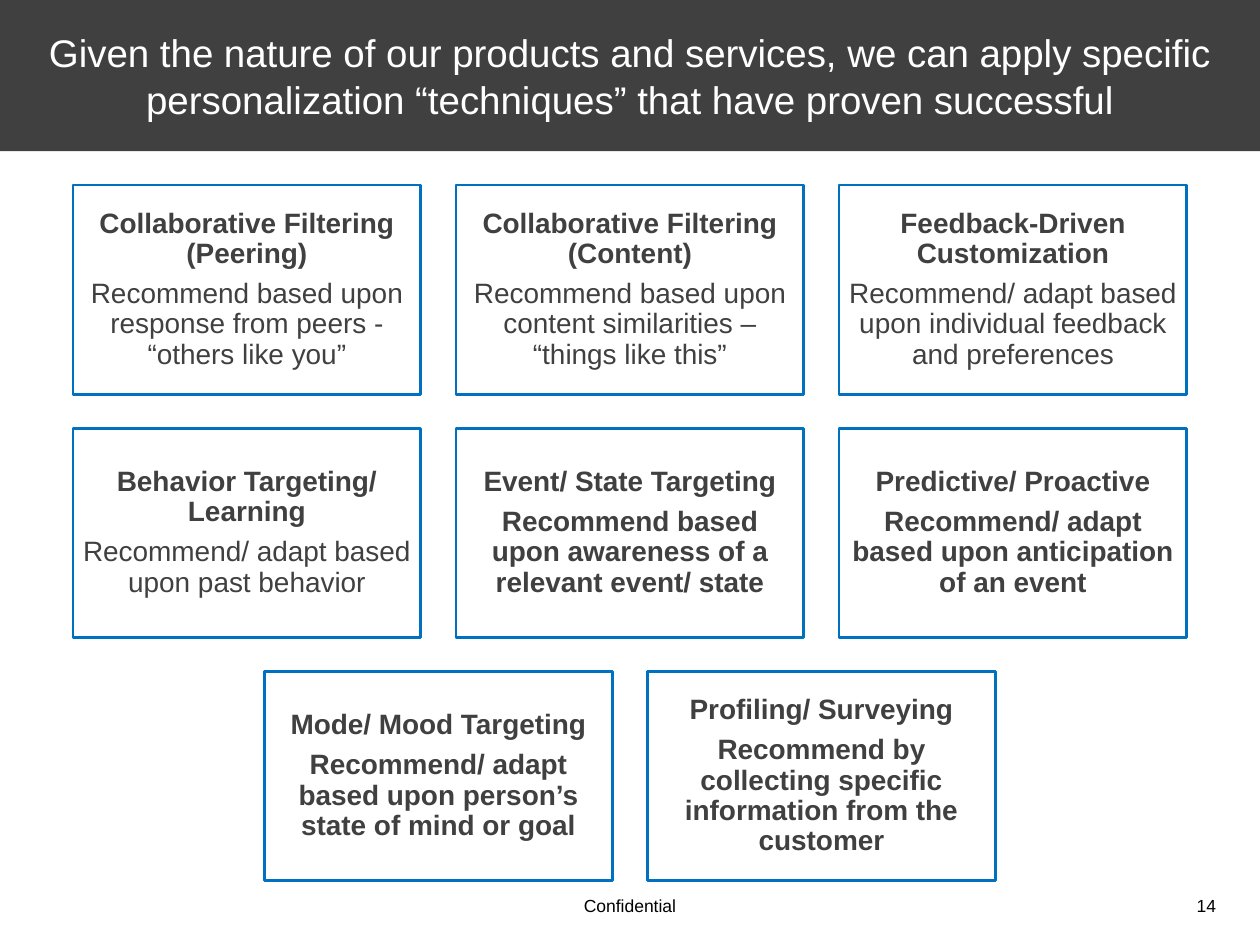
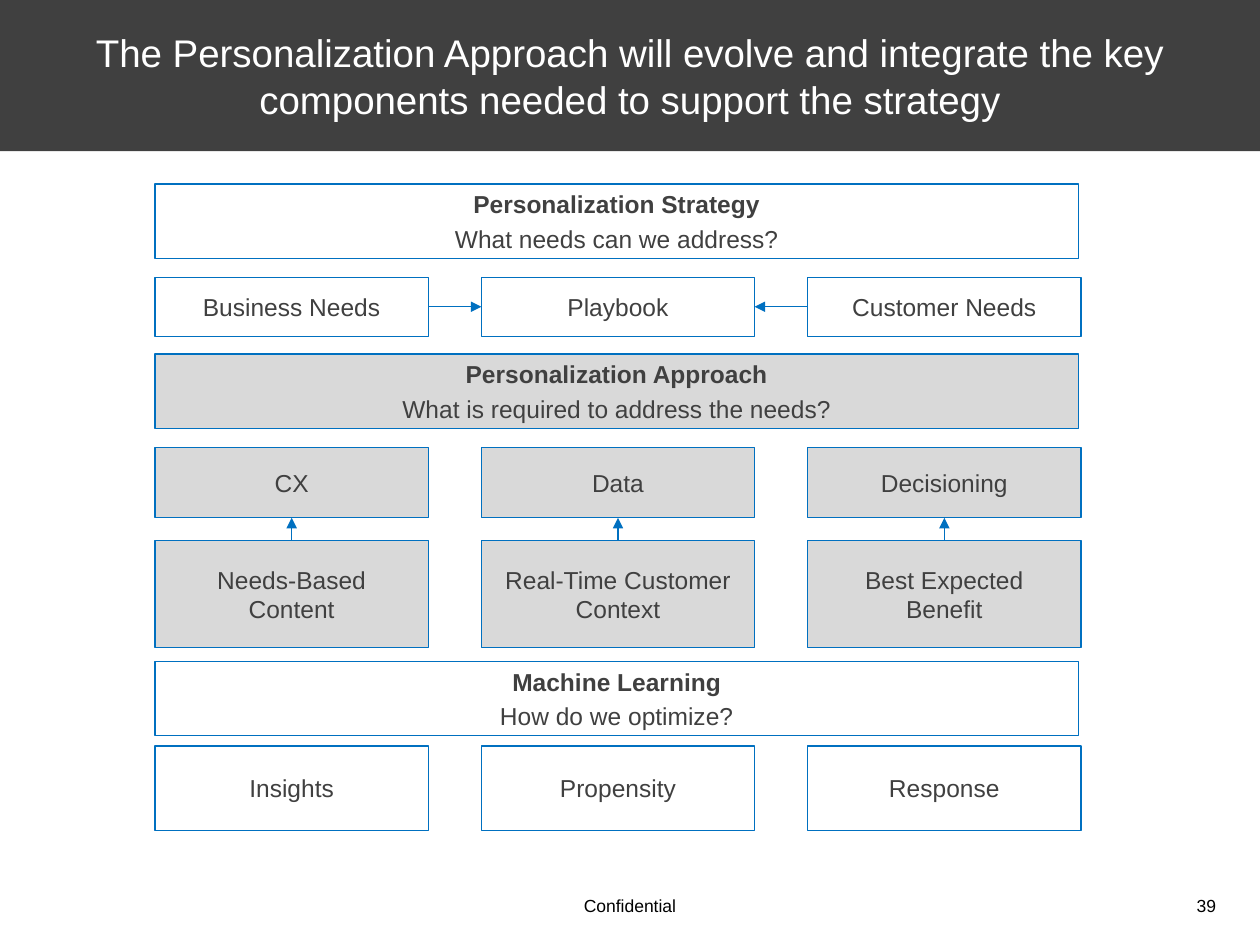
from lxml import etree
from pptx import Presentation
from pptx import util as u
from pptx.dml.color import RGBColor
from pptx.enum import shapes, text
from pptx.oxml import ns

CHARCOAL = RGBColor(0x40, 0x40, 0x40)
BLUE = RGBColor(0x00, 0x70, 0xC0)
GRAY = RGBColor(0xD9, 0xD9, 0xD9)
WHITE = RGBColor(0xFF, 0xFF, 0xFF)
BLACK = RGBColor(0x00, 0x00, 0x00)

CELL = u.Inches(0.1)
PAGE_COLUMNS, PAGE_ROWS = 100, 75
TITLE_ROWS = 12
TITLE_MARGINS = (1.5, 1)
CARD_MARGINS = (0.7, 0.7)
BAND_MARGINS = (1, 0.5)

LEFT, CENTER, RIGHT = text.PP_ALIGN.LEFT, text.PP_ALIGN.CENTER, text.PP_ALIGN.RIGHT
TITLE_FONT = {"size": u.Pt(22), "bold": False}
CARD_FONT = {"size": u.Pt(16), "bold": False}
BAND_FONT = {"size": u.Pt(14), "bold": False}
FOOTER_FONT = {"size": u.Pt(10), "bold": False}
CARD_SPACING = {"line_spacing": 0.9, "space_after": u.Pt(5.6)}
BAND_SPACING = {"space_before": u.Pt(2.8)}

CARD_WIDTH, CARD_HEIGHT = 27.6, 16.6
CARD_LEFT, CARD_TOP = 5.8, 14.7
CARD_STEP, CARD_ROW_STEP = 30.4, 19.3
CARDS = [
    (0, 0, "Collaborative Filtering (Peering)",
     "Recommend based upon response from peers - “others like you”", False),
    (1, 0, "Collaborative Filtering (Content)",
     "Recommend based upon content similarities – “things like this”", False),
    (2, 0, "Feedback-Driven Customization",
     "Recommend/ adapt based upon individual feedback and preferences", False),
    (0, 1, "Behavior Targeting/ Learning",
     "Recommend/ adapt based upon past behavior", False),
    (1, 1, "Event/ State Targeting",
     "Recommend based upon awareness of a relevant event/ state", True),
    (2, 1, "Predictive/ Proactive",
     "Recommend/ adapt based upon anticipation of an event", True),
    (0.5, 2, "Mode/ Mood Targeting",
     "Recommend/ adapt based upon person’s state of mind or goal", True),
    (1.5, 2, "Profiling/ Surveying",
     "Recommend by collecting specific information from the customer", True),
]

BAND_LEFT, BAND_WIDTH, BAND_HEIGHT = 12.3, 73.3, 5.9
BLOCK_WIDTH, BLOCK_STEP = 21.7, 25.9
BANDS = [
    (14.6, WHITE, "Personalization Strategy", "What needs can we address?"),
    (28.1, GRAY, "Personalization Approach", "What is required to address the needs?"),
    (52.5, WHITE, "Machine Learning", "How do we optimize?"),
]
BLOCK_ROWS = {
    "needs": (22, 4.7, WHITE, ["Business Needs", "Playbook", "Customer Needs"]),
    "components": (35.5, 5.6, GRAY, ["CX", "Data", "Decisioning"]),
    "inputs": (42.9, 8.5, GRAY,
               ["Needs-Based\nContent", "Real-Time Customer Context", "Best Expected\nBenefit"]),
    "learning": (59.2, 6.7, WHITE, ["Insights", "Propensity", "Response"]),
}
TOP_SITE, LEFT_SITE, BOTTOM_SITE, RIGHT_SITE = range(4)


def cells(*counts):
    return [round(count * CELL) for count in counts]


def apply(target, values):
    for name, value in values.items():
        setattr(target, name, value)


def write(box, lines, font, color, align=CENTER, spacing=None, margins=BAND_MARGINS):
    frame = box.text_frame
    side, edge = cells(*margins)
    apply(frame, {
        "word_wrap": True, "auto_size": text.MSO_AUTO_SIZE.NONE,
        "vertical_anchor": text.MSO_ANCHOR.MIDDLE,
        "margin_left": side, "margin_right": side,
        "margin_top": edge, "margin_bottom": edge,
    })
    for index, (words, bold) in enumerate(lines):
        para = frame.add_paragraph() if index else frame.paragraphs[0]
        para.text = words
        apply(para, {"alignment": align, **(spacing or {})})
        if index == 0:
            para.space_before = u.Pt(0)
        for span in para.runs:
            apply(span.font, {**font, "name": "Arial", "bold": bold})
            span.font.color.rgb = color


def add_box(page, place, fill, line_width, lines, font, spacing, margins):
    box = page.shapes.add_shape(shapes.MSO_SHAPE.RECTANGLE, *cells(*place))
    box.shadow.inherit = False
    box.fill.solid()
    box.fill.fore_color.rgb = fill
    box.line.color.rgb = BLUE
    box.line.width = u.Pt(line_width)
    write(box, lines, font, CHARCOAL, spacing=spacing, margins=margins)
    return box


def add_footer(page, place, words, align):
    box = page.shapes.add_textbox(*cells(*place))
    write(box, [(words, False)], FOOTER_FONT, BLACK, align)


def add_page(deck, title, number):
    page = deck.slides.add_slide(deck.slide_layouts.get_by_name("Title Only"))
    band = page.shapes.title
    apply(band, dict(zip(("left", "top", "width", "height"),
                         cells(0, 0, PAGE_COLUMNS, TITLE_ROWS))))
    band.fill.solid()
    band.fill.fore_color.rgb = CHARCOAL
    write(band, [(title, False)], TITLE_FONT, WHITE, margins=TITLE_MARGINS)
    add_footer(page, (93, 70.5, 4.5, 2.7), number, RIGHT)
    add_footer(page, (20, 70.5, 60, 2.7), "Confidential", CENTER)
    return page


def add_card(page, column, row, heading, detail, bold_detail):
    place = (CARD_LEFT + column * CARD_STEP, CARD_TOP + row * CARD_ROW_STEP,
             CARD_WIDTH, CARD_HEIGHT)
    add_box(page, place, WHITE, 1.5, [(heading, True), (detail, bold_detail)],
            CARD_FONT, CARD_SPACING, CARD_MARGINS)


def add_band(page, top, fill, heading, question):
    add_box(page, (BAND_LEFT, top, BAND_WIDTH, BAND_HEIGHT), fill, 0.75,
            [(heading, True), (question, False)], BAND_FONT, BAND_SPACING, BAND_MARGINS)


def add_block_row(page, top, height, fill, labels):
    return [
        add_box(page, (BAND_LEFT + column * BLOCK_STEP, top, BLOCK_WIDTH, height), fill,
                0.75, [(label, False)], BAND_FONT, BAND_SPACING, BAND_MARGINS)
        for column, label in enumerate(labels)
    ]


def add_arrow(page, source, source_site, target, target_site):
    arrow = page.shapes.add_connector(shapes.MSO_CONNECTOR.STRAIGHT, 0, 0, 0, 0)
    arrow.begin_connect(source, source_site)
    arrow.end_connect(target, target_site)
    arrow.line.color.rgb = BLUE
    arrow.line.width = u.Pt(0.75)
    outline = arrow.line._get_or_add_ln()
    etree.SubElement(outline, ns.qn("a:tailEnd"), type="triangle")
    etree.SubElement(arrow._element.spPr, ns.qn("a:effectLst"))


def build_techniques(deck):
    page = add_page(deck, "Given the nature of our products and services, we can apply "
                    "specific personalization “techniques” that have proven successful", "14")
    for card in CARDS:
        add_card(page, *card)


def build_approach(deck):
    page = add_page(deck, "The Personalization Approach will evolve and integrate the key "
                    "components needed to support the strategy", "39")
    for band in BANDS:
        add_band(page, *band)
    blocks = {name: add_block_row(page, *row) for name, row in BLOCK_ROWS.items()}
    business, playbook, customer = blocks["needs"]
    add_arrow(page, business, RIGHT_SITE, playbook, LEFT_SITE)
    add_arrow(page, customer, LEFT_SITE, playbook, RIGHT_SITE)
    for source, component in zip(blocks["inputs"], blocks["components"]):
        add_arrow(page, source, TOP_SITE, component, BOTTOM_SITE)


def main():
    deck = Presentation()
    deck.slide_width, deck.slide_height = cells(PAGE_COLUMNS, PAGE_ROWS)
    build_techniques(deck)
    build_approach(deck)
    deck.save("out.pptx")


if __name__ == "__main__":
    main()
